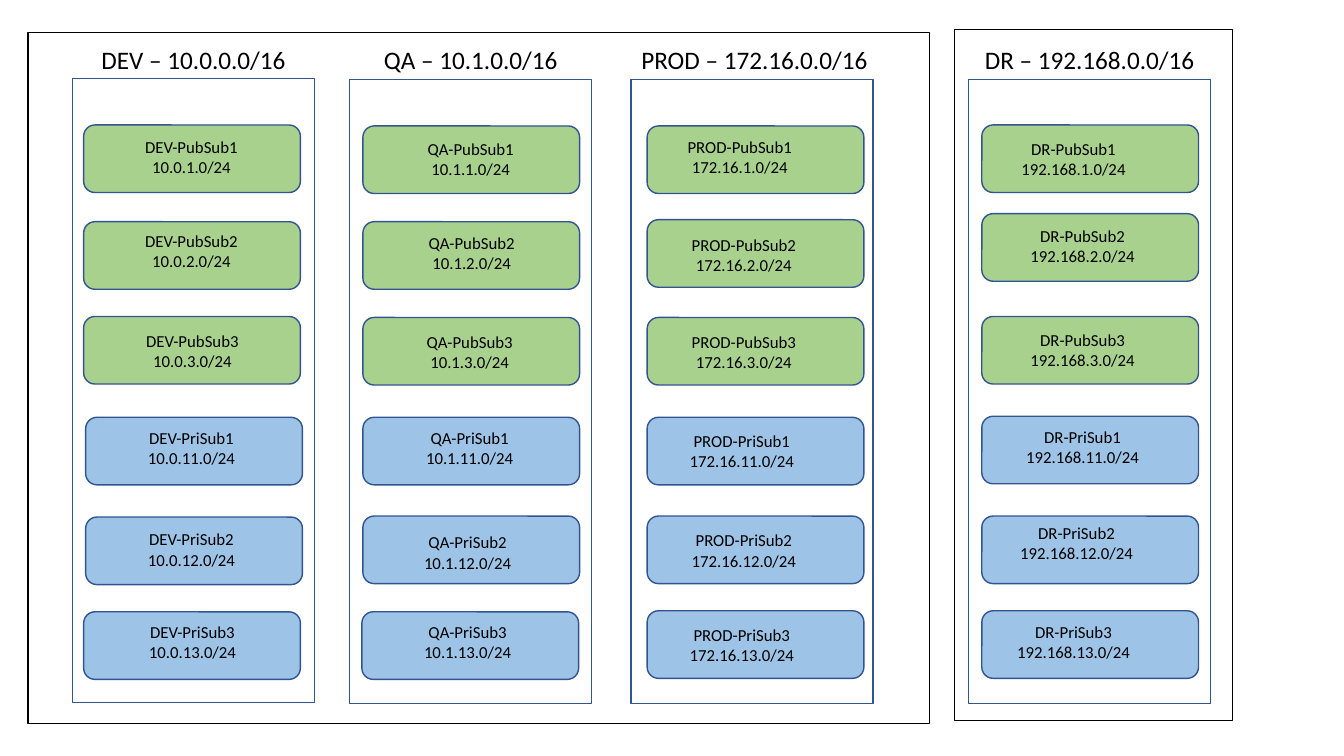
from dataclasses import dataclass, field

from pptx import Presentation
from pptx.dml.color import RGBColor
from pptx.enum.shapes import MSO_SHAPE as Shape
from pptx.enum.text import MSO_AUTO_SIZE as AutoSize, PP_ALIGN as Align
from pptx.slide import Slide
from pptx.util import Inches, Pt

CELL = 0.1
PAGE_COLUMNS, PAGE_ROWS = 133.33, 75
BLACK, WHITE, NAVY, GREEN, BLUE = "000000", "FFFFFF", "325491", "A9D18E", "9DC3E6"
FRAME_WIDTH, FRAME_HEIGHT = 24, 61.9
SUBNET_WIDTH, SUBNET_HEIGHT = 21.5, 6.7
LABEL_WIDTH, LABEL_HEIGHT = 21.6, 5
TITLE_TOP, TITLE_HEIGHT = 3.9, 4
SUBNET_ROWS = (12.4, 22, 31.4, 41.4, 51.2, 60.7)

Spot = tuple[float, float]


@dataclass(frozen=True)
class Area:
    """Rectangle on the page, in grid columns and rows."""
    left: float
    top: float
    width: float
    height: float


@dataclass(frozen=True)
class Subnet:
    """Kind of subnet with its fill and the first number of its third octet."""
    kind: str
    fill: str
    base: int


@dataclass(frozen=True)
class Network:
    """Environment with its address prefix and the places of its parts."""
    name: str
    prefix: str
    frame: Spot
    subnet_left: float
    labels: tuple[Spot, ...]
    nudges: dict[int, Spot] = field(default_factory=dict)
    title_left: float | None = None
    title_width: float = FRAME_WIDTH


SITES = (Area(2.8, 3.2, 89.4, 68.6), Area(94.7, 2.9, 27.6, 68.6))
SUBNETS = (Subnet("PubSub", GREEN, 0), Subnet("PriSub", BLUE, 10))
NETWORKS = (
    Network("DEV", "10.0", (7.2, 7.8), 8.3,
            ((8.2, 13.1), (8.2, 22.4), (8.3, 32.3), (8.2, 41.9), (8.2, 52), (8.3, 61.2)),
            {3: (0.2, 0), 4: (0.2, 0.1)}),
    Network("QA", "10.1", (34.7, 7.9), 36,
            ((35.9, 13.3), (36, 22.6), (35.8, 32.4), (35.8, 41.9), (35.6, 52.3), (35.6, 61.2)),
            {0: (0, 0.1), 2: (0, 0.1), 5: (-0.1, 0)}),
    Network("PROD", "172.16", (62.6, 7.9), 64.2,
            ((62.6, 13.1), (63, 22.8), (63, 32.4), (62.8, 42.2), (63, 52.1), (62.8, 61.5)),
            {0: (0, 0.1), 1: (0, -0.2), 2: (0, 0.1), 5: (0, -0.1)}, 62.2, 25.3),
    Network("DR", "192.168", (96.1, 7.9), 97.4,
            ((95.7, 13.3), (96.6, 21.9), (96.6, 32.2), (96.6, 41.8), (96, 51.4), (95.7, 61.2)),
            {1: (0, -0.8), 3: (0, -0.1), 5: (0, -0.1)}),
)


def color(value: str) -> RGBColor:
    """Turn a hex string into a colour."""
    return RGBColor.from_string(value)


def place(area: Area) -> tuple[Inches, ...]:
    """Turn grid columns and rows into lengths."""
    return tuple(Inches(cells * CELL) for cells in (area.left, area.top, area.width, area.height))


def draw_box(page: Slide, area: Area, fill: str, line: str, shape: Shape = Shape.RECTANGLE) -> None:
    """Draw a filled and outlined shape."""
    box = page.shapes.add_shape(shape, *place(area))
    box.shadow.inherit = False
    box.fill.solid()
    box.fill.fore_color.rgb = color(fill)
    box.line.color.rgb = color(line)
    box.line.width = Pt(1)


def draw_text(page: Slide, area: Area, lines: tuple[str, ...], size: int) -> None:
    """Draw centred lines of text."""
    frame = page.shapes.add_textbox(*place(area)).text_frame
    frame.word_wrap = True
    frame.auto_size = AutoSize.SHAPE_TO_FIT_TEXT
    frame.text = "\n".join(lines)
    for para in frame.paragraphs:
        para.alignment = Align.CENTER
        para.font.name = "Calibri"
        para.font.size = Pt(size)
        para.font.color.rgb = color(BLACK)


def draw_network(page: Slide, network: Network) -> None:
    """Draw one environment with its title and six subnets."""
    left, top = network.frame
    draw_box(page, Area(left, top, FRAME_WIDTH, FRAME_HEIGHT), WHITE, NAVY)
    title_left = left if network.title_left is None else network.title_left
    draw_text(page, Area(title_left, TITLE_TOP, network.title_width, TITLE_HEIGHT),
              (f"{network.name} – {network.prefix}.0.0/16",), 18)
    for index, (row, label) in enumerate(zip(SUBNET_ROWS, network.labels)):
        group, position = divmod(index, 3)
        subnet, number = SUBNETS[group], position + 1
        across, down = network.nudges.get(index, (0, 0))
        area = Area(network.subnet_left + across, row + down, SUBNET_WIDTH, SUBNET_HEIGHT)
        draw_box(page, area, subnet.fill, NAVY, Shape.ROUNDED_RECTANGLE)
        lines = (f"{network.name}-{subnet.kind}{number}",
                 f"{network.prefix}.{subnet.base + number}.0/24")
        draw_text(page, Area(*label, LABEL_WIDTH, LABEL_HEIGHT), lines, 12)


def main() -> None:
    """Build the network plan and save it."""
    deck = Presentation()
    deck.slide_width = Inches(PAGE_COLUMNS * CELL)
    deck.slide_height = Inches(PAGE_ROWS * CELL)
    page = deck.slides.add_slide(deck.slide_layouts[6])
    for site in SITES:
        draw_box(page, site, WHITE, BLACK)
    for network in NETWORKS:
        draw_network(page, network)
    deck.save("out.pptx")


if __name__ == "__main__":
    main()
